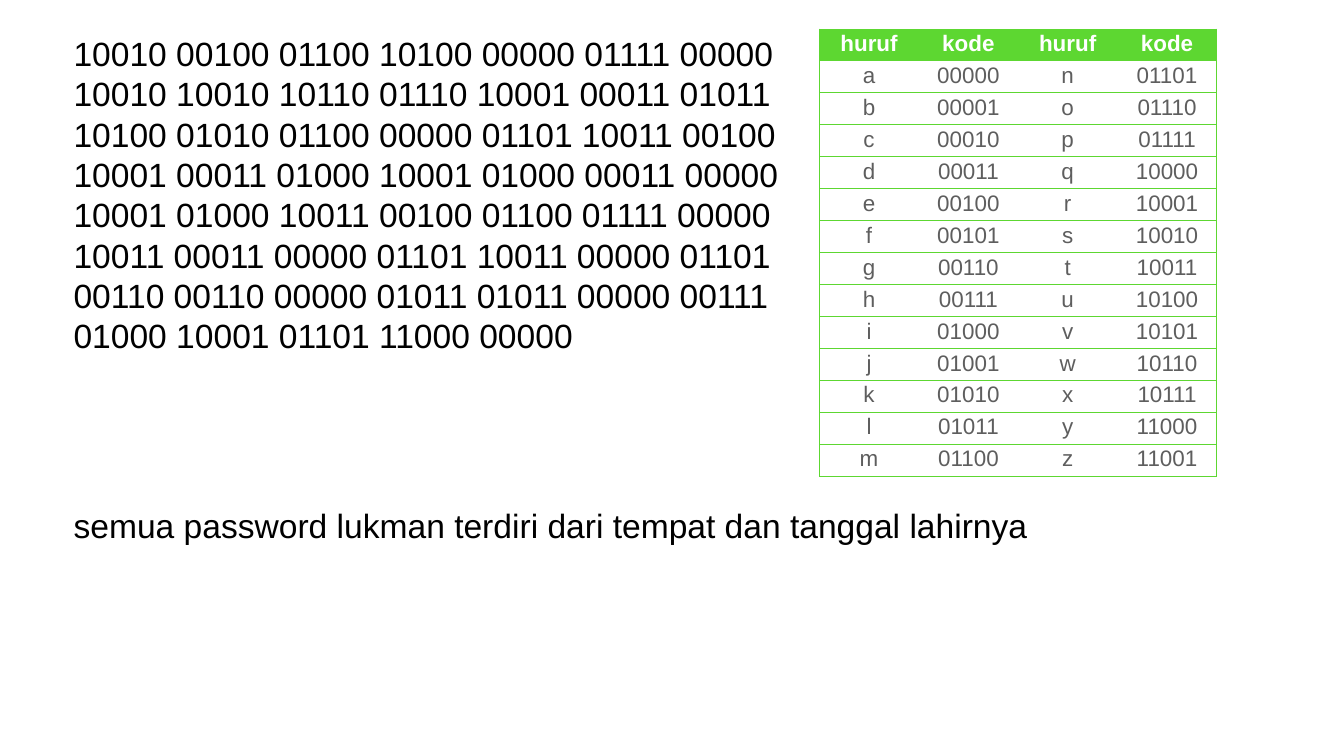
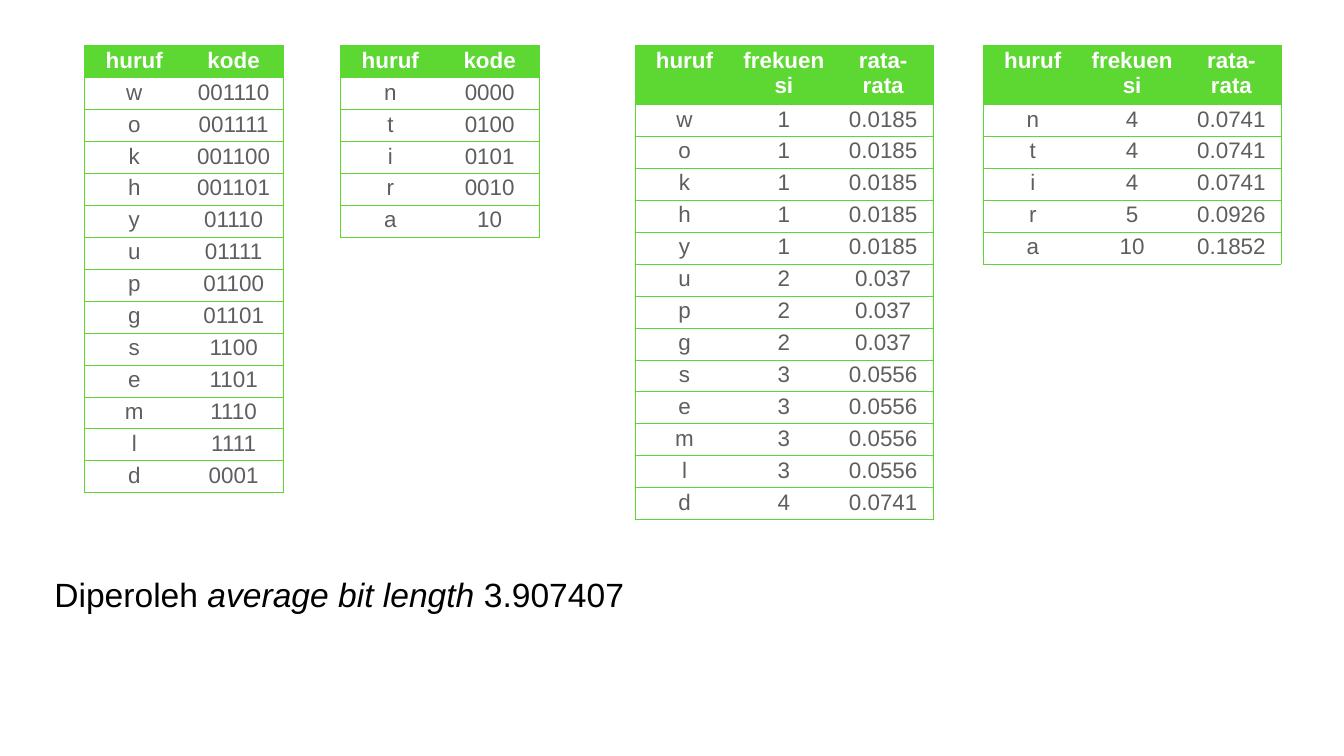
from lxml import etree
from pptx import Presentation
from pptx.dml.color import RGBColor
from pptx.enum.text import MSO_ANCHOR, MSO_AUTO_SIZE, PP_ALIGN
from pptx.oxml.ns import qn
from pptx.util import Inches, Pt

COLORS = {"green": "5DD731", "grey": "5E5E5E", "white": "FFFFFF", "black": "000000"}
FONT = "Arial"
PLAIN_TABLE_STYLE = "{2D5ABB26-0587-4C30-8999-92F81FD0307C}"
SLIDE_WIDTH, SLIDE_HEIGHT = Inches(26.67), Inches(15)

# Percent of the slide's width
COLUMN = 7.39
# Row heights, percent of the slide's height
ALPHABET_ROW, CODE_ROW, TALL_HEADER = 4.22, 4, 7.27

CIPHER_LINES = [
    "10010 00100 01100 10100 00000 01111 00000",
    "10010 10010 10110 01110 10001 00011 01011",
    "10100 01010 01100 00000 01101 10011 00100",
    "10001 00011 01000 10001 01000 00011 00000",
    "10001 01000 10011 00100 01100 01111 00000",
    "10011 00011 00000 01101 10011 00000 01101",
    "00110 00110 00000 01011 01011 00000 00111",
    "01000 10001 01101 11000 00000",
]

# Letter, code, frequency
LETTERS = [
    ("w", "001110", 1), ("o", "001111", 1), ("k", "001100", 1),
    ("h", "001101", 1), ("y", "01110", 1), ("u", "01111", 2),
    ("p", "01100", 2), ("g", "01101", 2), ("s", "1100", 3),
    ("e", "1101", 3), ("m", "1110", 3), ("l", "1111", 3),
    ("d", "0001", 4), ("n", "0000", 4), ("t", "0100", 4),
    ("i", "0101", 4), ("r", "0010", 5), ("a", "10", 10),
]
FIRST_TABLE_LETTERS = 13


def across(percent):
    return round(SLIDE_WIDTH * percent / 100)


def down(percent):
    return round(SLIDE_HEIGHT * percent / 100)


def style_font(font, size, color, bold=False):
    font.name, font.size, font.bold = FONT, Pt(size), bold
    font.color.rgb = RGBColor.from_string(COLORS[color])


def add_text(page, box, lines):
    """Each line is a list of (text, italic) spans; box is in percent."""
    left, top, width, height = box
    shape = page.shapes.add_textbox(across(left), down(top), across(width), down(height))
    frame = shape.text_frame
    frame.word_wrap = False
    frame.auto_size = MSO_AUTO_SIZE.SHAPE_TO_FIT_TEXT
    frame.vertical_anchor = MSO_ANCHOR.MIDDLE
    frame.margin_left = frame.margin_right = Inches(0.06)
    frame.margin_top = frame.margin_bottom = Inches(0.06)
    for index, line in enumerate(lines):
        para = frame.paragraphs[0] if index == 0 else frame.add_paragraph()
        style_font(para.font, 48, "black")
        for text, italic in line:
            span = para.add_run()
            span.text = text
            if italic:
                span.font.italic = True


def add_borders(cell, sides):
    properties = cell._tc.get_or_add_tcPr()
    for index, side in enumerate(sides):
        line = etree.Element(qn(f"a:ln{side}"), w=str(Pt(0.75)))
        fill = etree.SubElement(line, qn("a:solidFill"))
        etree.SubElement(fill, qn("a:srgbClr"), val=COLORS["green"])
        properties.insert(index, line)


def add_letter_table(page, left, top, header, rows, row_height, header_height=None):
    header_height = header_height or row_height
    height = header_height + row_height * len(rows)
    table = page.shapes.add_table(
        len(rows) + 1, len(header), across(left), down(top),
        across(COLUMN * len(header)), down(height)).table
    table._tbl.tblPr.find(qn("a:tableStyleId")).text = PLAIN_TABLE_STYLE
    table.horz_banding = False
    for column in table.columns:
        column.width = across(COLUMN)
    for row_index, values in enumerate([header, *rows]):
        is_header = row_index == 0
        table.rows[row_index].height = down(header_height if is_header else row_height)
        for column_index, value in enumerate(values):
            cell = table.cell(row_index, column_index)
            cell.text = value
            para = cell.text_frame.paragraphs[0]
            para.alignment = PP_ALIGN.CENTER
            style_font(para.font, 32, "white" if is_header else "grey", is_header)
            if is_header:
                cell.fill.solid()
                cell.fill.fore_color.rgb = RGBColor.from_string(COLORS["green"])
            else:
                cell.fill.background()
            # Only the outer sides carry vertical lines
            left_side = "L" if column_index == 0 else ""
            right_side = "R" if column_index == len(header) - 1 else ""
            add_borders(cell, left_side + right_side + "TB")


def build_cipher_slide(page):
    add_text(page, (5.25, 3.8, 54.59, 43.8), [[(line, False)] for line in CIPHER_LINES])
    # Letters a-m beside n-z, each with its five-bit position
    codes = [(chr(ord("a") + number), f"{number:05b}") for number in range(26)]
    rows = [first + second for first, second in zip(codes[:13], codes[13:])]
    add_letter_table(page, 60.97, 3.8, ["huruf", "kode"] * 2, rows, ALPHABET_ROW)
    add_text(page, (5.25, 66.4, 72.63, 6.13),
             [[("semua password lukman terdiri dari tempat dan tanggal lahirnya", False)]])


def build_huffman_slide(page):
    total = sum(count for _, _, count in LETTERS)
    codes = [(letter, code) for letter, code, _ in LETTERS]
    shares = [(letter, str(count), str(round(count / total, 4)))
              for letter, _, count in LETTERS]
    split = FIRST_TABLE_LETTERS
    # Codes
    for left, rows in ((6.3, codes[:split]), (25.35, codes[split:])):
        add_letter_table(page, left, 6, ["huruf", "kode"], rows, CODE_ROW)
    # Frequencies
    for left, rows in ((73.15, shares[split:]), (47.24, shares[:split])):
        add_letter_table(page, left, 6, ["huruf", "frekuensi", "rata-rata"],
                         rows, CODE_ROW, TALL_HEADER)
    add_text(page, (3.82, 75.53, 43.31, 6.13),
             [[("Diperoleh ", False), ("average bit length ", True), ("3.907407", False)]])


def main():
    deck = Presentation()
    deck.slide_width, deck.slide_height = SLIDE_WIDTH, SLIDE_HEIGHT
    blank = deck.slide_layouts[6]
    for build in (build_cipher_slide, build_huffman_slide):
        build(deck.slides.add_slide(blank))
    deck.save("out.pptx")


if __name__ == "__main__":
    main()
